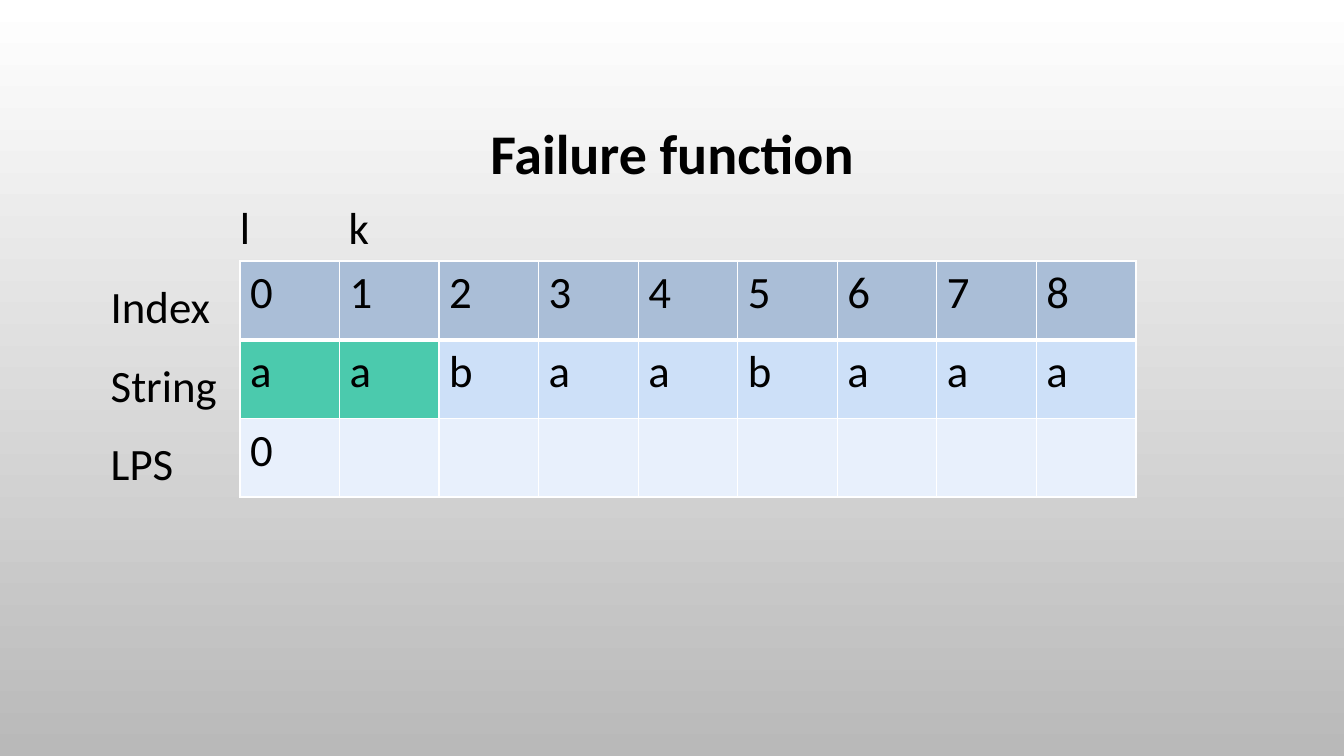
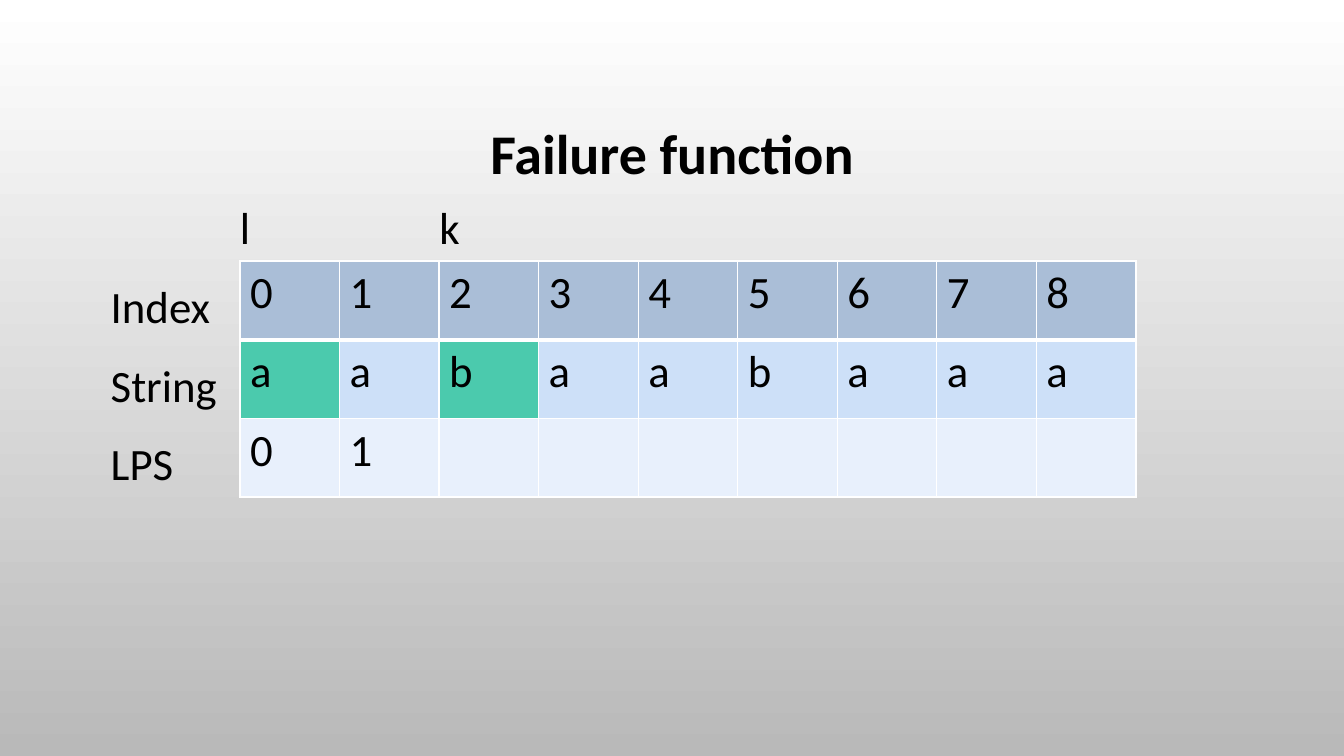
from lxml import etree
from pptx import Presentation
from pptx import util as u
from pptx.dml.color import RGBColor
from pptx.enum import text
from pptx.oxml.ns import qn

HUES = {
    "ink": "000000", "line": "FFFFFF", "top": "FFFFFF", "base": "B9B9B9",
    "head": "AABED7", "string": "CDE0F8", "lps": "E8F0FC", "match": "4BCAAD",
}
BODY = {"name": "Calibri", "size": u.Pt(32), "bold": False}
TITLE = {"name": "Calibri", "size": u.Pt(40), "bold": True}
PARA = {"line_spacing": 1.2, "space_before": u.Pt(10)}
WORD = "aabaabaaa"
ROWS = ("head", "string", "lps")
TABLE_LEFT, TABLE_TOP, TABLE_W, ROW_H = 2.38, 2.59, 8.89, 0.78
LABEL_LEFT, INSET = 1, 0.1

# Each step: place of the k mark, compared indexes, LPS values so far
STEPS = (
    (3.46, (0, 1), "0"),
    (4.36, (0, 2), "01"),
)


def rgb(name):
    return RGBColor.from_string(HUES[name])


def apply(item, values):
    for key, value in values.items():
        setattr(item, key, value)


def style(para, font):
    apply(para.font, font)
    para.font.color.rgb = rgb("ink")


def place(shape, *box):
    apply(shape, dict(zip(("left", "top", "width", "height"), map(u.Inches, box))))


def set_back(master):
    fill = master.background.fill
    fill.gradient()
    fill.gradient_angle = 270
    for stop, name in zip(fill.gradient_stops, ("top", "base")):
        stop.color.rgb = rgb(name)


def add_title(slide, words):
    title = slide.shapes.title
    place(title, 1, 0.68, 11.33, 1.75)
    frame = title.text_frame
    frame.text = words
    frame.vertical_anchor = text.MSO_ANCHOR.MIDDLE
    para = frame.paragraphs[0]
    apply(para, {"alignment": text.PP_ALIGN.CENTER, "line_spacing": 0.9})
    style(para, TITLE)


def add_tabs(para, stops):
    tabs = etree.SubElement(para._p.get_or_add_pPr(), qn("a:tabLst"))
    for stop in stops:
        etree.SubElement(tabs, qn("a:tab"), pos=str(u.Inches(stop)), algn="l")


def add_labels(slide, mark):
    """Write the l and k marks, then the row names, beside the table."""
    box = slide.shapes.add_textbox(0, 0, 0, 0)
    place(box, LABEL_LEFT, 1.83, 11.33, 4.51)
    frame = box.text_frame
    frame.word_wrap = True
    frame.text = "\tl\tk\nIndex\nString\nLPS"
    start = LABEL_LEFT + INSET
    add_tabs(frame.paragraphs[0], (TABLE_LEFT - start, mark - start))
    for para in frame.paragraphs:
        apply(para, PARA)
        style(para, BODY)
    frame.paragraphs[0].space_before = u.Pt(0)


def add_edges(cell, widths):
    props = cell._tc.get_or_add_tcPr()
    for side, width in widths.items():
        line = etree.SubElement(props, qn("a:ln" + side), w=str(u.Pt(width)))
        fill = etree.SubElement(line, qn("a:solidFill"))
        etree.SubElement(fill, qn("a:srgbClr"), val=HUES["line"])


def add_grid(slide, pair, lps):
    cols = len(WORD)
    frame = slide.shapes.add_table(
        len(ROWS), cols, u.Inches(TABLE_LEFT), u.Inches(TABLE_TOP),
        u.Inches(TABLE_W), u.Inches(ROW_H * len(ROWS)))
    table = frame.table
    apply(table, {"first_row": False, "horz_banding": False})
    values = (map(str, range(cols)), WORD, lps.ljust(cols))
    for r, (name, row) in enumerate(zip(ROWS, values)):
        edges = {"L": 1, "R": 1, "T": 3 if r == 1 else 1, "B": 3 if r == 0 else 1}
        for c, value in enumerate(row):
            cell = table.cell(r, c)
            cell.text = value.strip()
            style(cell.text_frame.paragraphs[0], BODY)
            add_edges(cell, edges)
            cell.fill.solid()
            matched = name == "string" and c in pair
            cell.fill.fore_color.rgb = rgb("match" if matched else name)


def main():
    prs = Presentation()
    apply(prs, {"slide_width": u.Inches(13.33), "slide_height": u.Inches(7.5)})
    set_back(prs.slide_master)
    for mark, pair, lps in STEPS:
        slide = prs.slides.add_slide(prs.slide_layouts.get_by_name("Title Only"))
        add_title(slide, "Failure function")
        add_labels(slide, mark)
        add_grid(slide, pair, lps)
    prs.save("out.pptx")


if __name__ == "__main__":
    main()
